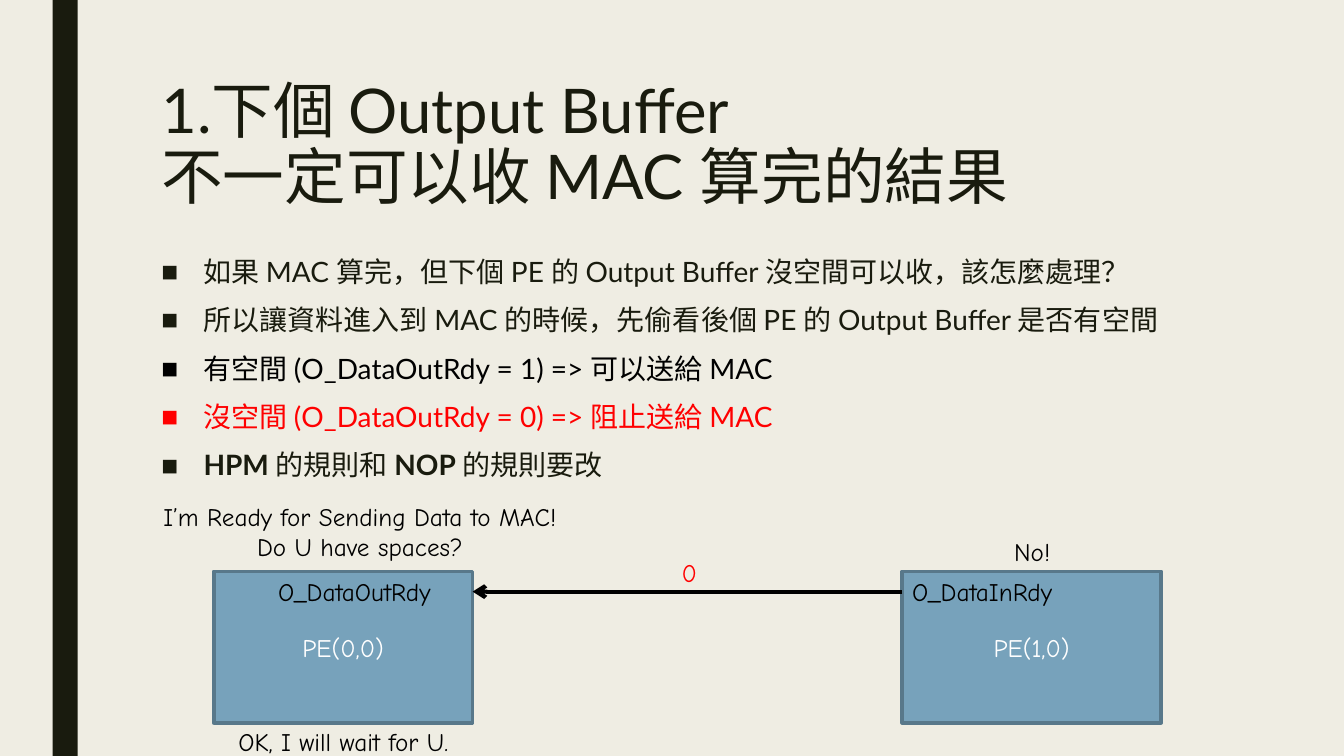
"""Build the slide about output buffer back-pressure between two PEs."""
from dataclasses import dataclass

from pptx import Presentation
from pptx.dml.color import RGBColor
from pptx.enum.shapes import MSO_CONNECTOR, MSO_SHAPE
from pptx.enum.text import MSO_ANCHOR, MSO_AUTO_SIZE, PP_ALIGN
from pptx.oxml.ns import qn
from pptx.util import Pt

INK, BLACK, RED, WHITE = "191B0E", "000000", "FF0000", "FFFFFF"
HEADING_FONT, NOTE_FONT = "Lato", "Comic Neue"
PE_TOP, PE_WIDTH, PE_HEIGHT = 408.2, 185, 108
LEFT_PE, RIGHT_PE = 152.6, 644.4
ARROW_Y = 422.6


@dataclass
class Bullet:
    runs: list[tuple[str, bool]]
    color: str = INK


@dataclass
class Note:
    lines: list[str]
    left: float
    top: float
    width: float
    height: float = 29
    color: str = BLACK
    align: PP_ALIGN = PP_ALIGN.CENTER


@dataclass
class Element:
    name: str
    left: float


TITLE = ["1.下個 Output Buffer", "不一定可以收 MAC 算完的結果"]
BULLETS = [
    Bullet([("如果 MAC 算完，但下個 PE 的 Output Buffer 沒空間可以收，該怎麼處理？", False)]),
    Bullet([("所以讓資料進入到 MAC 的時候，先偷看後個 PE 的 Output Buffer 是否有空間", False)]),
    Bullet([("有空間 (O_DataOutRdy = 1) => 可以送給 MAC", False)], BLACK),
    Bullet([("沒空間 (O_DataOutRdy = 0) => 阻止送給 MAC", False)], RED),
    Bullet([("HPM ", True), ("的規則和 ", False), ("NOP ", True), ("的規則要改", False)]),
]
ELEMENTS = [Element("PE(0,0)", LEFT_PE), Element("PE(1,0)", RIGHT_PE)]
NOTES = [
    Note(["O_DataInRdy"], RIGHT_PE, PE_TOP, 131.8, align=PP_ALIGN.LEFT),
    Note(["O_DataOutRdy"], 191.5, PE_TOP, 144.7, align=PP_ALIGN.LEFT),
    Note(["I’m Ready for Sending Data to MAC!", "Do U have spaces?"], 95.8, 354.2, 322.6, 51),
    Note(["No!"], 715.7, 379.4, 43.2),
    Note(["0"], 479.5, 394.6, 25.9, color=RED),
    Note(["OK, I will wait for U."], 149.8, 515.5, 190.8),
]


def rgb(value: str) -> RGBColor:
    return RGBColor.from_string(value)


def add_run(p, text: str, size: float, font: str, color: str, bold: bool = False) -> None:
    r = p.add_run()
    r.text = text
    r.font.size = Pt(size)
    r.font.name = font
    r.font.bold = bold
    r.font.color.rgb = rgb(color)


def place(sp, left: float, top: float, width: float, height: float) -> None:
    sp.left, sp.top, sp.width, sp.height = Pt(left), Pt(top), Pt(width), Pt(height)
    tf = sp.text_frame
    tf.word_wrap = True
    tf.auto_size = MSO_AUTO_SIZE.NONE
    tf.vertical_anchor = MSO_ANCHOR.TOP


def fill_title(sp) -> None:
    place(sp, 108, 54, 756, 116.6)
    p = sp.text_frame.paragraphs[0]
    p.alignment = PP_ALIGN.LEFT
    p.line_spacing = 0.89
    for i, line in enumerate(TITLE):
        if i:
            p.add_line_break()
        add_run(p, line, 44, HEADING_FONT, INK)


def fill_body(sp) -> None:
    place(sp, 108, 180, 756, 282.2)
    tf = sp.text_frame
    for i, bullet in enumerate(BULLETS):
        p = tf.add_paragraph() if i else tf.paragraphs[0]
        p.line_spacing = 0.94
        p.space_before, p.space_after = Pt(10), Pt(2)
        props = p._p.get_or_add_pPr()
        props.set("marL", str(Pt(30.2)))
        props.set("indent", str(-Pt(30.2)))
        mark = props.makeelement(qn("a:buChar"), {"char": "■"})
        props.append(mark)
        for text, bold in bullet.runs:
            add_run(p, text, 20, HEADING_FONT, bullet.color, bold)


def add_box(s, left: float, top: float, width: float, height: float, fill: str):
    sp = s.shapes.add_shape(MSO_SHAPE.RECTANGLE, Pt(left), Pt(top), Pt(width), Pt(height))
    sp.shadow.inherit = False
    sp.fill.solid()
    sp.fill.fore_color.rgb = rgb(fill)
    sp.line.fill.background()
    return sp


def add_element(s, element: Element) -> None:
    sp = add_box(s, element.left, PE_TOP, PE_WIDTH, PE_HEIGHT, "77A2BB")
    sp.line.color.rgb = rgb("58788A")
    sp.line.width = Pt(2.75)
    sp.text_frame.vertical_anchor = MSO_ANCHOR.MIDDLE
    p = sp.text_frame.paragraphs[0]
    p.alignment = PP_ALIGN.CENTER
    add_run(p, element.name, 18, NOTE_FONT, WHITE)


def add_note(s, note: Note) -> None:
    sp = s.shapes.add_textbox(Pt(note.left), Pt(note.top), Pt(note.width), Pt(note.height))
    tf = sp.text_frame
    tf.word_wrap = False
    tf.auto_size = MSO_AUTO_SIZE.SHAPE_TO_FIT_TEXT
    for i, line in enumerate(note.lines):
        p = tf.add_paragraph() if i else tf.paragraphs[0]
        p.alignment = note.align
        add_run(p, line, 18, NOTE_FONT, note.color)


def add_arrow(s) -> None:
    sp = s.shapes.add_connector(
        MSO_CONNECTOR.STRAIGHT, Pt(RIGHT_PE), Pt(ARROW_Y), Pt(LEFT_PE + PE_WIDTH), Pt(ARROW_Y)
    )
    sp.line.color.rgb = rgb(BLACK)
    sp.line.width = Pt(3)
    ln = sp.line._get_or_add_ln()
    ln.append(ln.makeelement(qn("a:tailEnd"), {"type": "arrow"}))
    props = sp._element.spPr
    props.append(props.makeelement(qn("a:effectLst"), {}))


def main() -> None:
    prs = Presentation()
    prs.slide_width, prs.slide_height = Pt(960), Pt(540)
    s = prs.slides.add_slide(prs.slide_layouts[1])
    s.background.fill.solid()
    s.background.fill.fore_color.rgb = rgb("EFEDE3")
    add_box(s, 37.5, 0, 18, 540, INK)
    fill_title(s.shapes.title)
    fill_body(s.placeholders[1])
    for element in ELEMENTS:
        add_element(s, element)
    add_arrow(s)
    for note in NOTES:
        add_note(s, note)
    prs.save("out.pptx")


if __name__ == "__main__":
    main()
